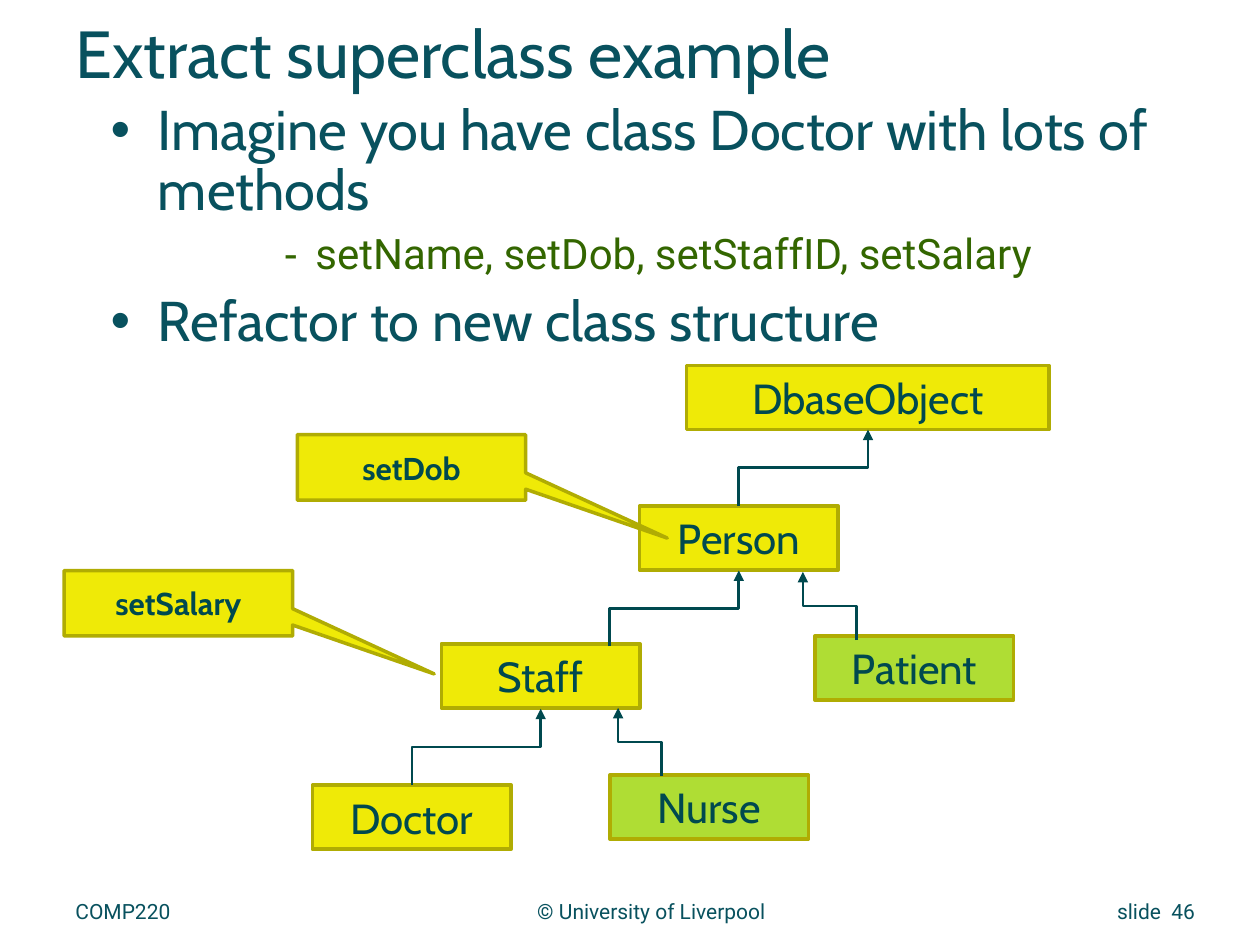
from pptx import Presentation
from pptx.dml.color import RGBColor
from pptx.enum.shapes import MSO_CONNECTOR as Link, MSO_SHAPE as Kind
from pptx.enum.text import MSO_ANCHOR as Anchor, MSO_AUTO_SIZE as Fit, PP_ALIGN as Align
from pptx.oxml.ns import qn
from pptx.util import Pt
from lxml.etree import SubElement

TEAL = RGBColor(0x08, 0x51, 0x5E)
DARK = RGBColor(0x00, 0x49, 0x4F)
GREEN = RGBColor(0x33, 0x66, 0x00)
YELLOW = RGBColor(0xEF, 0xEA, 0x07)
LIME = RGBColor(0xAF, 0xDD, 0x34)
OLIVE = RGBColor(0xB0, 0xAC, 0x03)


def write(para, text, size, color=TEAL, font="Cabin", align=Align.LEFT, bold=False):
    para.alignment = align
    run = para.add_run()
    run.text = text
    run.font.size = Pt(size)
    run.font.name = font
    run.font.bold = bold
    run.font.color.rgb = color


deck = Presentation()
deck.slide_width, deck.slide_height = Pt(720), Pt(540)
slide = deck.slides.add_slide(deck.slide_layouts[1])
shapes = slide.shapes
title, body = shapes.title, slide.placeholders[1]

for holder, x, y, w, h in [(title, 36, 3.6, 648, 52), (body, 56, 54.7, 618, 360)]:
    holder.left, holder.top, holder.width, holder.height = Pt(x), Pt(y), Pt(w), Pt(h)
    holder.text_frame.auto_size = Fit.NONE
title.text_frame.vertical_anchor = Anchor.MIDDLE
write(title.text_frame.paragraphs[0], "Extract superclass example", 38)

main = dict(level=0, mark="•", left=27, hang=27, gap=8, size=32, color=TEAL, font="Cabin")
sub = dict(level=3, mark="-", left=117, hang=18, gap=6, size=24, color=GREEN, font="Roboto")
items = [
    ("Imagine you have class Doctor with lots of methods", main),
    ("setName, setDob, setStaffID, setSalary", sub),
    ("Refactor to new class structure", main),
]
for i, (text, look) in enumerate(items):
    frame = body.text_frame
    para = frame.add_paragraph() if i else frame.paragraphs[0]
    para.level = look["level"]
    para.line_spacing = 0.9
    para.space_before = Pt(look["gap"])
    write(para, text, look["size"], look["color"], look["font"])
    props = para._p.get_or_add_pPr()
    props.set("marL", str(Pt(look["left"])))
    props.set("indent", str(-Pt(look["hang"])))
    tint = SubElement(props, qn("a:buClr"))
    SubElement(tint, qn("a:srgbClr"), val=str(look["color"]))
    SubElement(props, qn("a:buChar"), char=look["mark"])

for text, x, w, align in [
    ("COMP220", 36, 240, Align.LEFT),
    ("© University of Liverpool", 288, 168.5, Align.CENTER),
    ("slide  46", 582, 108, Align.RIGHT),
]:
    frame = shapes.add_textbox(Pt(x), Pt(510), Pt(w), Pt(24)).text_frame
    frame.word_wrap = True
    write(frame.paragraphs[0], text, 12, font="Roboto", align=align)

box = dict(kind=Kind.RECTANGLE, h=36.7, size=24, bold=False)
note = dict(kind=Kind.RECTANGULAR_CALLOUT, h=37.4, size=18, bold=True)
for text, x, y, w, fill, look in [
    ("Doctor", 178.6, 448.6, 113.5, YELLOW, box),
    ("Staff", 252.2, 367.9, 113.5, YELLOW, box),
    ("Person", 365.5, 289.1, 113.5, YELLOW, box),
    ("DbaseObject", 392.4, 208.8, 207, YELLOW, box),
    ("Patient", 465.8, 363.4, 113.5, LIME, box),
    ("Nurse", 348.5, 442.8, 113.5, LIME, box),
    ("setSalary", 36.7, 326, 130.5, YELLOW, note),
    ("setDob", 169.9, 248.4, 130.5, YELLOW, note),
]:
    shape = shapes.add_shape(look["kind"], Pt(x), Pt(y), Pt(w), Pt(look["h"]))
    shape.shadow.inherit = False
    shape.fill.solid()
    shape.fill.fore_color.rgb = fill
    shape.line.color.rgb = OLIVE
    shape.line.width = Pt(2)
    if look is note:
        shape.adjustments[0], shape.adjustments[1] = 1.12, 1.08
    frame = shape.text_frame
    frame.vertical_anchor = Anchor.MIDDLE
    write(frame.paragraphs[0], text, look["size"], DARK, align=Align.CENTER, bold=look["bold"])

for x1, y1, x2, y2 in [
    (235.4, 448.6, 309, 405),
    (348.5, 369.4, 422.2, 326),
    (422.2, 289.1, 496, 245.5),
    (489.6, 365.8, 458.8, 326.9),
    (378, 443.5, 353.2, 404.6),
]:
    rise, run = y1 - y2, abs(x2 - x1)
    left, top = (x1 + x2 - rise) / 2, (y1 + y2 - run) / 2
    link = shapes.add_connector(Link.ELBOW, Pt(left), Pt(top), Pt(left + rise), Pt(top + run))
    link.line.color.rgb = DARK
    link.line.width = Pt(1.5)
    props = link._element.spPr
    turn = props.find(qn("a:xfrm"))
    turn.set("rot", str(270 * 60000))
    if x2 < x1:
        turn.set("flipV", "1")
    SubElement(link.line._get_or_add_ln(), qn("a:tailEnd"), type="triangle")
    SubElement(props, qn("a:effectLst"))

deck.save("out.pptx")
